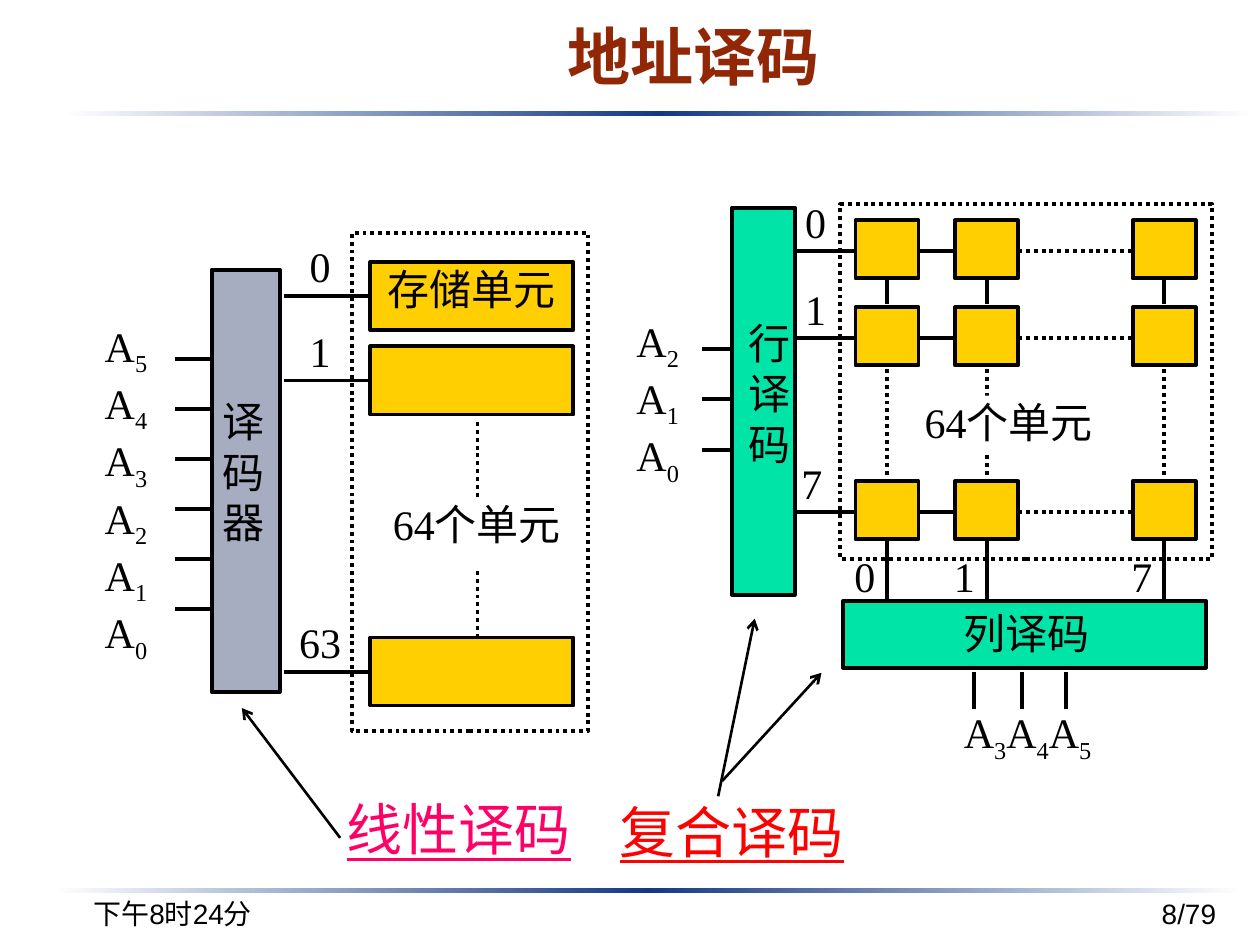
from dataclasses import dataclass

from lxml.etree import SubElement
from pptx import Presentation
from pptx.dml.color import RGBColor
from pptx.enum.dml import MSO_LINE
from pptx.enum.shapes import MSO_CONNECTOR, MSO_SHAPE
from pptx.enum.text import MSO_ANCHOR, PP_ALIGN
from pptx.oxml.ns import qn
from pptx.util import Inches, Pt


@dataclass(frozen=True)
class Theme:
    black: str = "000000"
    white: str = "FFFFFF"
    navy: str = "133984"
    title: str = "922706"
    gray: str = "A6ADC0"
    green: str = "00E4A8"
    yellow: str = "FFCF01"
    pink: str = "FF0066"
    red: str = "FF0000"
    serif: str = "Times New Roman"
    sans: str = "Arial"
    caption_font: str = "Lato"
    title_size: int = 36
    caption_size: int = 32
    body_size: int = 24
    footer_size: int = 16
    line: float = 2.25
    arrow: float = 1.5


T = Theme()


class Region:
    """Draws parts at offsets, in inches, from its top left corner."""

    def __init__(self, s, left, top):
        self.s, self.left, self.top = s, left, top

    def place(self, x, y, w, h):
        return Inches(self.left + x), Inches(self.top + y), Inches(w), Inches(h)

    def rect(self, x, y, w, h, fill=None, dotted=False):
        sp = self.s.shapes.add_shape(MSO_SHAPE.RECTANGLE, *self.place(x, y, w, h))
        sp.shadow.inherit = False
        if fill:
            sp.fill.solid()
            sp.fill.fore_color.rgb = RGBColor.from_string(fill)
        else:
            sp.fill.background()
        sp.line.color.rgb = RGBColor.from_string(T.black)
        sp.line.width = Pt(T.line)
        if dotted:
            sp.line.dash_style = MSO_LINE.ROUND_DOT
        return sp

    def line(self, x1, y1, x2, y2, dotted=False, arrow=False):
        ends = self.place(x1, y1, 0, 0)[:2] + self.place(x2, y2, 0, 0)[:2]
        c = self.s.shapes.add_connector(MSO_CONNECTOR.STRAIGHT, *ends)
        c.line.color.rgb = RGBColor.from_string(T.black)
        c.line.width = Pt(T.arrow if arrow else T.line)
        if dotted:
            c.line.dash_style = MSO_LINE.ROUND_DOT
        if arrow:
            SubElement(c.line._get_or_add_ln(), qn("a:tailEnd"), type="arrow")
        SubElement(c._element.spPr, qn("a:effectLst"))

    def text(self, x, y, w, h, lines, fill=None, **style):
        sp = self.s.shapes.add_textbox(*self.place(x, y, w, h))
        if fill:
            sp.fill.solid()
            sp.fill.fore_color.rgb = RGBColor.from_string(fill)
        write(sp.text_frame, lines, **style)
        return sp


def write(tf, lines, size=T.body_size, font=T.serif, color=T.black, bold=None,
          underline=None, align=PP_ALIGN.CENTER, anchor=MSO_ANCHOR.TOP,
          inset=(0.01, 0.01), wrap=True, subscripts=False):
    tf.word_wrap = wrap
    tf.vertical_anchor = anchor
    tf.margin_left = tf.margin_right = Inches(inset[0])
    tf.margin_top = tf.margin_bottom = Inches(inset[1])
    for i, line in enumerate(lines.split("\n")):
        p = tf.paragraphs[0] if i == 0 else tf.add_paragraph()
        p.alignment = align
        for part in line if subscripts else [line]:
            r = p.add_run()
            r.text = part
            if subscripts and part.isdigit():
                r._r.get_or_add_rPr().set("baseline", "-25000")
        p.font.size = Pt(size)
        p.font.name = font
        p.font.color.rgb = RGBColor.from_string(color)
        p.font.bold = bold
        p.font.underline = underline


def divider(s, left, top):
    """A rule that fades from navy in the middle to white at both ends."""
    half = 4.72
    reg = Region(s, left, top)
    for x, colors in ((0, (T.white, T.navy)), (half, (T.navy, T.white))):
        sp = reg.rect(x, 0, half, 0.04)
        sp.line.fill.background()
        sp.fill.gradient()
        sp.fill.gradient_angle = 0
        for stop, color in zip(sp.fill.gradient_stops, colors):
            stop.color.rgb = RGBColor.from_string(color)


def header(s, left, top):
    Region(s, left, top).text(0, 0, 4.31, 0.75, "地址译码", size=T.title_size, font=T.sans,
                              color=T.title, bold=True, inset=(0.1, 0.06))


def footer(s, left, top):
    reg = Region(s, left, top)
    for x, text, align in ((0, "下午8时24分", PP_ALIGN.CENTER), (7.34, "8/79", PP_ALIGN.RIGHT)):
        reg.text(x, 0, 2.08, 0.5, text, size=T.footer_size, font=T.sans, align=align,
                 anchor=MSO_ANCHOR.MIDDLE, inset=(0.1, 0.05), wrap=False)


def linear_decoder(s, left, top):
    reg = Region(s, left, top)
    # Decoder and address inputs
    reg.rect(1.08, 0.29, 0.54, 3.35, T.gray)
    reg.text(1.11, 1.28, 0.44, 2.15, "译码器")
    reg.text(0.01, 0.68, 0.78, 2.68, "A5\nA4\nA3\nA2\nA1\nA0", subscripts=True)
    for i in range(6):
        y = 1 + 0.396 * i
        reg.line(0.79, y, 1.08, y)
    # Select lines and storage cells
    for y, number, name in ((0.5, "0", "存储单元"), (1.17, "1", ""), (3.48, "63", "")):
        reg.line(1.65, y, 2.33, y)
        reg.text(1.6, y - 0.45, 0.68, 0.46, number)
        cell = reg.rect(2.34, y - 0.27, 1.61, 0.54, T.yellow)
        if name:
            write(cell.text_frame, name)
    # Frame and omitted cells
    reg.rect(2.19, 0, 1.88, 3.95, dotted=True)
    reg.line(3.19, 1.5, 3.19, 3.22, dotted=True)
    reg.text(2.42, 2.1, 1.53, 0.57, "64个单元", T.white)


def matrix_decoder(s, left, top):
    reg = Region(s, left, top)
    # Row decoder and its inputs
    reg.rect(0.91, 0.05, 0.5, 3.07, T.green)
    reg.text(0.95, 0.91, 0.51, 2.01, "行译码")
    reg.text(0, 0.89, 0.64, 1.32, "A2\nA1\nA0", subscripts=True)
    for i in range(3):
        y = 1.17 + 0.4 * i
        reg.line(0.67, y, 0.91, y)
    # Column decoder and its inputs
    reg.rect(1.79, 3.17, 2.88, 0.53, T.green)
    reg.text(2.3, 3.21, 1.89, 0.49, "列译码")
    reg.text(2.45, 4, 1.61, 0.63, "A3A4A5", subscripts=True)
    for x in (2.83, 3.21, 3.56):
        reg.line(x, 3.73, x, 4.03)
    # Cell matrix
    rows, cols = (0.15, 0.84, 2.22), (1.89, 2.68, 4.09)
    for y in rows:
        for x in cols:
            reg.rect(x, y, 0.5, 0.46, T.yellow)
    # Row lines
    for row, number, x in zip(rows, "017", (1.48, 1.48, 1.45)):
        y = row + 0.24
        reg.line(1.42, y, 1.9, y)
        reg.line(2.39, y, 2.69, y)
        reg.line(3.18, y, 4.1, y, dotted=True)
        reg.text(x, y - 0.44, 0.25, 0.46, number, align=PP_ALIGN.LEFT)
    # Column lines
    for col, number in zip(cols, "017"):
        x = col + 0.25
        reg.line(x, 0.6, x, 0.81)
        reg.line(x, 1.33, x, 2.26, dotted=True)
        reg.line(x, 2.68, x, 3.18)
        reg.text(col - 0.02, 2.76, 0.25, 0.46, number, align=PP_ALIGN.LEFT)
    # Frame and omitted cells
    reg.rect(1.77, 0.02, 2.95, 2.82, dotted=True)
    reg.text(2.26, 1.54, 1.69, 0.46, "64个单元", T.white)


def captions(s, left, top):
    reg = Region(s, left, top)
    for x, y, text, color in ((0.73, 1.35, "线性译码", T.pink), (2.9, 1.37, "复合译码", T.red)):
        reg.text(x, y, 1.98, 0.63, text, size=T.caption_size, font=T.caption_font,
                 color=color, underline=True, inset=(0.1, 0.05), wrap=False)
    for ends in ((0.78, 1.74, 0, 0.71), (3.78, 1.41, 4.07, 0), (3.81, 1.29, 4.6, 0.43)):
        reg.line(*ends, arrow=True)


def main():
    prs = Presentation()
    prs.slide_width, prs.slide_height = Inches(10), Inches(7.5)
    s = prs.slides.add_slide(prs.slide_layouts[6])
    divider(s, 0.51, 0.88)
    divider(s, 0.42, 7.05)
    header(s, 3.35, 0.08)
    linear_decoder(s, 0.6, 1.85)
    matrix_decoder(s, 4.9, 1.6)
    captions(s, 1.92, 4.91)
    footer(s, 0.33, 7)
    prs.save("out.pptx")


if __name__ == "__main__":
    main()
